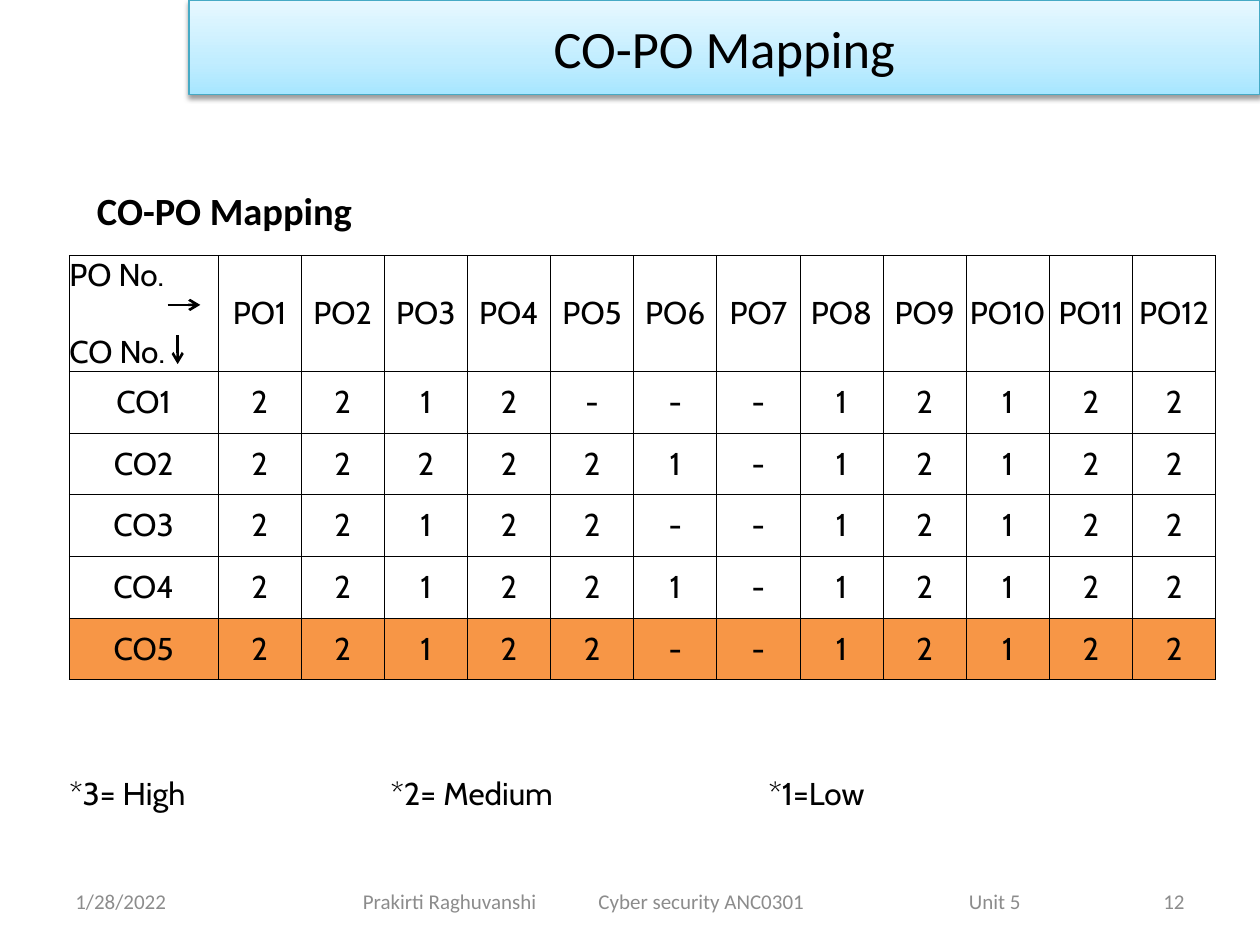
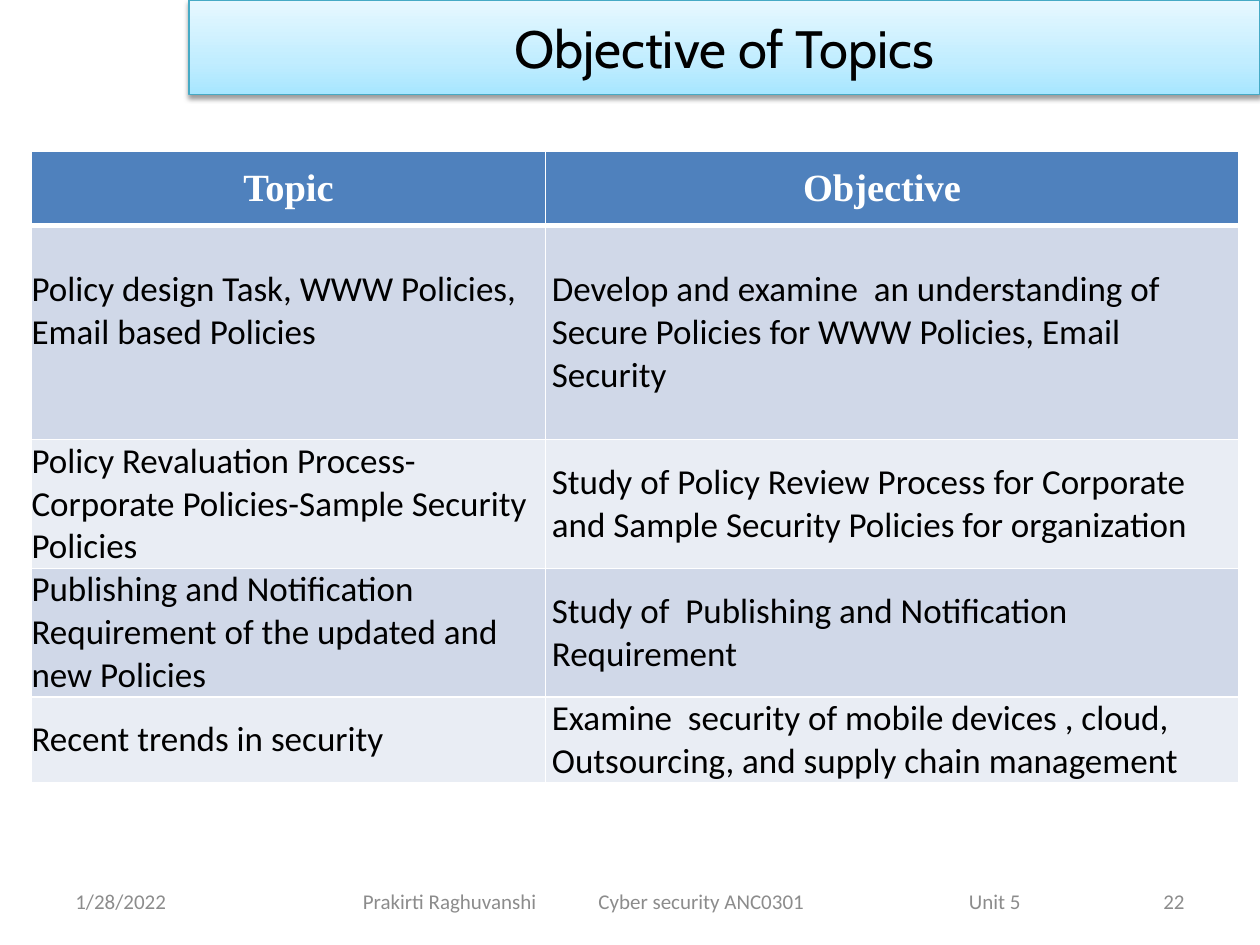
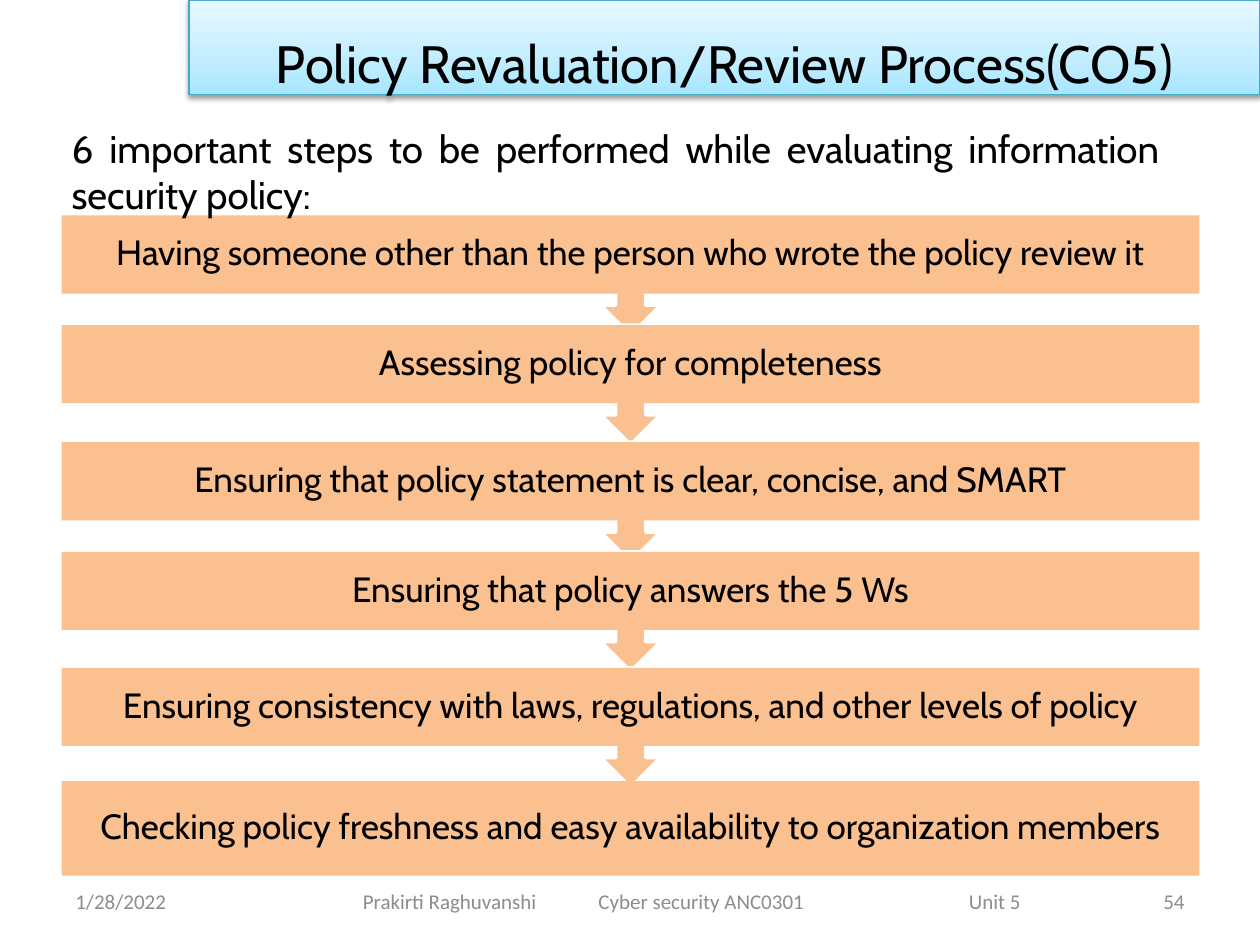
from dataclasses import dataclass

from lxml.etree import SubElement
from pptx import Presentation
from pptx.dml.color import RGBColor
from pptx.enum.shapes import MSO_CONNECTOR, MSO_SHAPE
from pptx.enum.text import MSO_ANCHOR, PP_ALIGN
from pptx.oxml import parse_xml
from pptx.oxml.ns import nsdecls, qn
from pptx.util import Inches, Pt


@dataclass(frozen=True)
class Theme:
    sans: str = "Calibri"
    display: str = "Cabin"
    serif: str = "Times New Roman"
    ink: str = "000000"
    paper: str = "FFFFFF"
    muted: str = "8C8C8C"
    band_edge: str = "46AAC5"
    band_stops: tuple = ((0, "A7E6FF"), (35, "C1EDFF"), (100, "E7F8FF"))
    highlight: str = "F79646"
    step: str = "FAC090"
    header: str = "4F81BD"
    stripes: tuple = ("D0D8E8", "E9EDF4")
    title_size: int = 30
    heading_size: int = 22
    body_size: int = 20
    grid_size: int = 18
    footer_size: int = 12


theme = Theme()


def write(frame, text, size, font=theme.sans, color=theme.ink, align=PP_ALIGN.LEFT, bold=False):
    para = frame.paragraphs[0]
    if para.runs:
        para = frame.add_paragraph()
    para.alignment = align
    span = para.add_run()
    span.text = text
    span.font.size = Pt(size)
    span.font.name = font
    span.font.bold = bold
    span.font.color.rgb = RGBColor.from_string(color)
    return para


def style_cell(cell, fill, edge, widths):
    cell.margin_left = cell.margin_right = cell.margin_top = cell.margin_bottom = 0
    cell.vertical_anchor = MSO_ANCHOR.MIDDLE
    cell.fill.solid()
    cell.fill.fore_color.rgb = RGBColor.from_string(fill)
    properties = cell._tc.get_or_add_tcPr()
    for index, (side, width) in enumerate(zip("LRTB", widths)):
        border = parse_xml(
            f'<a:ln{side} {nsdecls("a")} w="{Pt(width)}"><a:solidFill>'
            f'<a:srgbClr val="{edge}"/></a:solidFill></a:ln{side}>'
        )
        properties.insert(index, border)


deck = Presentation()
deck.slide_width = Inches(10)
deck.slide_height = Inches(7.5)

titles = [
    ("CO-PO Mapping", theme.sans, 1, "12"),
    ("Objective of Topics", theme.display, 1, "22"),
    ("Policy Revaluation/Review Process(CO5)", theme.display, 1.5, "54"),
]
pages = []
labels = []
for title, font, spacing, number in titles:
    page = deck.slides.add_slide(deck.slide_layouts[6])
    pages.append(page)
    band = page.shapes.add_shape(MSO_SHAPE.RECTANGLE, Inches(1.5), 0, Inches(8.5), Inches(0.75))
    band.shadow.inherit = False
    band.line.color.rgb = RGBColor.from_string(theme.band_edge)
    band.line.width = Pt(0.75)
    stops = "".join(
        f'<a:gs pos="{place * 1000}"><a:srgbClr val="{color}"/></a:gs>'
        for place, color in theme.band_stops
    )
    gradient = parse_xml(
        f'<a:gradFill {nsdecls("a")} rotWithShape="1"><a:gsLst>{stops}</a:gsLst>'
        '<a:lin ang="16200000" scaled="0"/></a:gradFill>'
    )
    band_properties = band._element.spPr
    band_properties.find(qn("a:prstGeom")).addnext(gradient)
    band_properties.find(qn("a:effectLst")).append(parse_xml(
        f'<a:outerShdw {nsdecls("a")} blurRad="{Pt(3.1)}" dist="{Pt(1.6)}" dir="5400000" '
        f'rotWithShape="0"><a:srgbClr val="{theme.ink}"><a:alpha val="38000"/></a:srgbClr></a:outerShdw>'
    ))
    band.text_frame.vertical_anchor = MSO_ANCHOR.MIDDLE
    band.text_frame.word_wrap = True
    para = write(band.text_frame, title, theme.title_size, font, align=PP_ALIGN.CENTER)
    para.line_spacing = spacing

    footer = dict(size=theme.footer_size, color=theme.muted)
    labels += [
        (page, (0.5, 6.95, 2.33, 0.4), 0.1, (), "1/28/2022", footer),
        (page, (2.75, 6.95, 5.5, 0.4), 0.13, (1.87, 4.81),
         "Prakirti Raghuvanshi\tCyber security ANC0301\tUnit 5", footer),
        (page, (7.17, 6.95, 2.33, 0.4), 0.1, (), number, dict(footer, align=PP_ALIGN.RIGHT)),
    ]

mapping_page, objective_page, review_page = pages
labels += [
    (mapping_page, (0.47, 1.41, 4.14, 0.52), 0.3, (), "CO-PO Mapping",
     dict(size=theme.heading_size, bold=True)),
    (mapping_page, (0, 6.09, 9.77, 0.4), 0.55, (2.55, 5.55), "*3= High\t*2= Medium\t*1=Low",
     dict(size=theme.grid_size, font=theme.display)),
]

ratings = ["2212---12122", "222221-12122", "22122--12122", "221221-12122", "22122--12122"]
mapping = mapping_page.shapes.add_table(
    6, 13, Inches(0.55), Inches(2.03), Inches(9.14), Inches(3.34)
).table
mapping.first_row = mapping.horz_banding = False
for index, column in enumerate(mapping.columns):
    column.width = Inches(0.66 if index else 1.18)
for index, row in enumerate(mapping.rows):
    row.height = Inches(0.49 if index else 0.91)
    values = [f"CO{index}", *ratings[index - 1]] if index else ["", *(f"PO{n}" for n in range(1, 13))]
    fill = theme.highlight if index == 5 else theme.paper
    for cell, value in zip(row.cells, values):
        style_cell(cell, fill, theme.ink, (0.5, 0.5, 0.5, 0.5))
        if value:
            write(cell.text_frame, value, theme.grid_size, theme.display, align=PP_ALIGN.CENTER)
corner = mapping.cell(0, 0).text_frame
write(corner, "PO No.", theme.grid_size, theme.display)
write(corner, "CO No.", theme.grid_size, theme.display).space_before = Pt(22)

for ends in [(1.33, 2.42, 1.59, 2.42), (1.41, 2.66, 1.41, 2.89)]:
    arrow = mapping_page.shapes.add_connector(MSO_CONNECTOR.STRAIGHT, *map(Inches, ends))
    arrow.line.color.rgb = RGBColor.from_string(theme.ink)
    arrow.line.width = Pt(1.5)
    SubElement(arrow.line._get_or_add_ln(), qn("a:tailEnd"), type="arrow")
    SubElement(arrow._element.spPr, qn("a:effectLst"))

objectives = [
    ("Topic", "Objective", 0.59),
    ("Policy design Task, WWW Policies, Email based Policies",
     "Develop and examine  an understanding of Secure Policies for WWW Policies, Email Security", 1.7),
    ("Policy Revaluation Process-Corporate Policies-Sample Security Policies",
     "Study of Policy Review Process for Corporate and Sample Security Policies for organization", 1.02),
    ("Publishing and Notification Requirement of the updated and new Policies",
     "Study of  Publishing and Notification Requirement", 1.02),
    ("Recent trends in security",
     "Examine  security of mobile devices , cloud, Outsourcing, and supply chain management", 0.67),
]
topics = objective_page.shapes.add_table(
    5, 2, Inches(0.25), Inches(1.2), Inches(9.58), Inches(5)
).table
topics.horz_banding = False
topics.columns[0].width = Inches(4.08)
topics.columns[1].width = Inches(5.5)
for index, (topic, objective, height) in enumerate(objectives):
    row = topics.rows[index]
    row.height = Inches(height)
    fill = theme.stripes[(index - 1) % 2] if index else theme.header
    widths = (1, 1, 3 if index == 1 else 1, 1 if index else 3)
    for cell, text in zip(row.cells, (topic, objective)):
        style_cell(cell, fill, theme.paper, widths)
        if index:
            write(cell.text_frame, text, theme.body_size)
        else:
            write(cell.text_frame, text, theme.heading_size, theme.serif, theme.paper,
                  PP_ALIGN.CENTER, True)
    if index:
        row.cells[1].margin_left = Inches(0.05)
topics.cell(0, 1).margin_right = Inches(0.16)
topics.cell(1, 0).margin_bottom = Inches(0.34)

steps = [
    (1.71, "Having someone other than the person who wrote the policy review it"),
    (2.58, "Assessing policy for completeness"),
    (3.51, "Ensuring that policy statement is clear, concise, and SMART"),
    (4.38, "Ensuring that policy answers the 5 Ws"),
    (5.3, "Ensuring consistency with laws, regulations, and other levels of policy"),
    (6.2, "Checking policy freshness and easy availability to organization members"),
]
for top, text in steps:
    is_last = top == steps[-1][0]
    layers = [(MSO_SHAPE.RECTANGLE, 0.75 if is_last else 0.62)]
    if not is_last:
        layers.insert(0, (MSO_SHAPE.UP_ARROW_CALLOUT, 0.95))
    for kind, height in layers:
        block = review_page.shapes.add_shape(
            kind, Inches(0.49), Inches(top), Inches(9.03), Inches(height)
        )
        block.shadow.inherit = False
        block.fill.solid()
        block.fill.fore_color.rgb = RGBColor.from_string(theme.step)
        if kind == MSO_SHAPE.UP_ARROW_CALLOUT:
            block.rotation = 180
            block.line.color.rgb = RGBColor.from_string(theme.paper)
            block.line.width = Pt(2)
        else:
            block.line.fill.background()
            block.text_frame.vertical_anchor = MSO_ANCHOR.MIDDLE
            block.text_frame.word_wrap = True
            para = write(block.text_frame, text, theme.body_size, theme.display, align=PP_ALIGN.CENTER)
            para.line_spacing = 0.9

labels.append((
    review_page, (0.47, 0.94, 8.83, 0.84), 0.1, (),
    "6 important steps to be performed while evaluating information security policy:",
    dict(size=theme.heading_size, font=theme.display, align=PP_ALIGN.JUSTIFY),
))

for page, bounds, inset, tabs, text, style in labels:
    box = page.shapes.add_textbox(*map(Inches, bounds))
    frame = box.text_frame
    frame.word_wrap = True
    frame.vertical_anchor = MSO_ANCHOR.MIDDLE
    frame.margin_left = Inches(inset)
    para = write(frame, text, **style)
    if tabs:
        tab_list = SubElement(para._p.get_or_add_pPr(), qn("a:tabLst"))
        for tab in tabs:
            SubElement(tab_list, qn("a:tab"), pos=str(Inches(tab)), algn="l")

deck.save("out.pptx")
